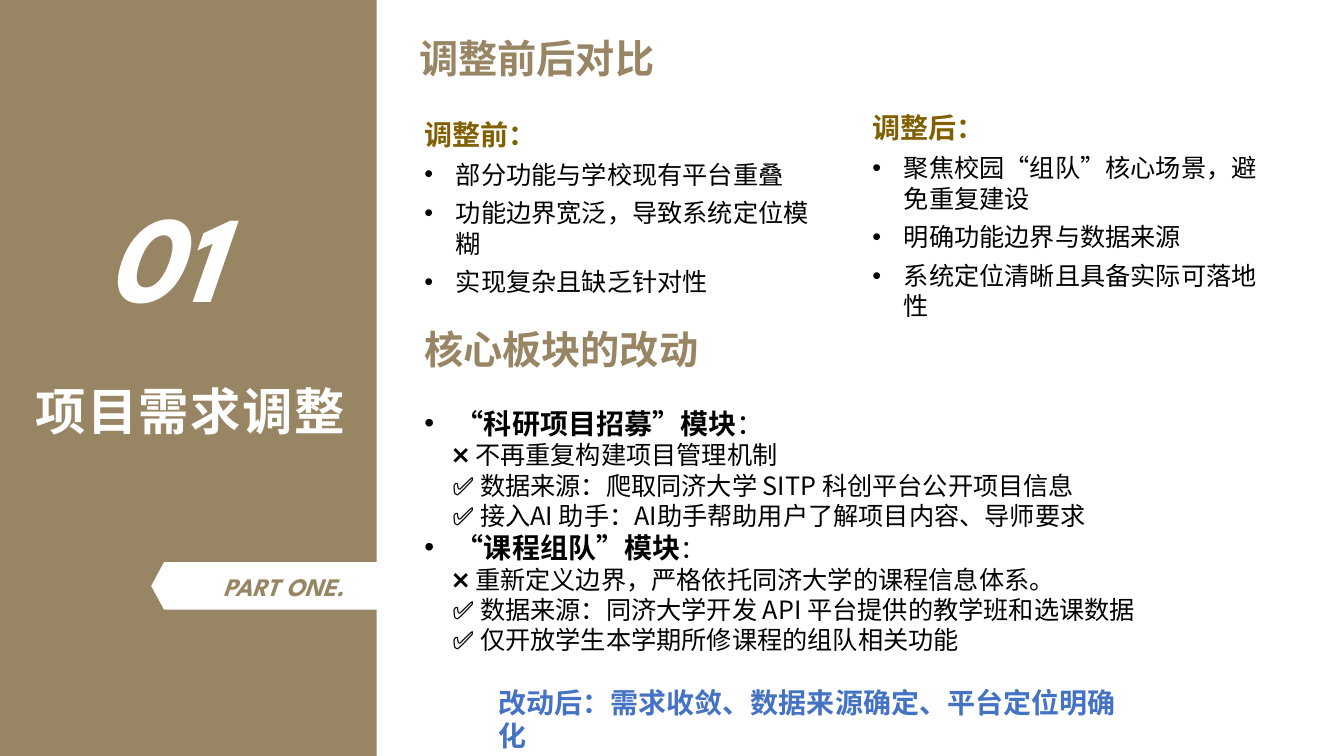
"""Build the project requirement adjustment slide."""
from dataclasses import dataclass
from typing import Optional

from lxml.etree import SubElement
from pptx import Presentation
from pptx.dml.color import RGBColor
from pptx.enum.shapes import MSO_SHAPE
from pptx.enum.text import MSO_ANCHOR, MSO_AUTO_SIZE, PP_ALIGN
from pptx.oxml.ns import qn
from pptx.util import Pt

COLOURS = {
    "sand": "988563",
    "white": "FFFFFF",
    "olive": "806000",
    "black": "000000",
    "blue": "4472C4",
}
HAN = "Noto Sans CJK SC"
DISPLAY = "League Spartan"
BULLET_INDENT = 22.5
DETAIL_INDENT = 20


@dataclass(frozen=True)
class Box:
    """Position and size in points."""
    left: float
    top: float
    width: float
    height: float


@dataclass(frozen=True)
class Line:
    """One paragraph with its formatting."""
    text: str
    size: float = 18
    colour: str = "black"
    bold: bool = False
    italic: bool = False
    font: str = HAN
    bullet: bool = False
    indent: float = 0
    before: float = 0
    spacing: float = 1
    tracking: float = 0
    align: PP_ALIGN = PP_ALIGN.LEFT
    colon_size: Optional[float] = None


@dataclass(frozen=True)
class Label:
    """A free-standing line of text."""
    box: Box
    line: Line


@dataclass(frozen=True)
class Listing:
    """A list held by one body placeholder."""
    placeholder: int
    box: Box
    lines: list[Line]


def comparison(heading: str, points: list[str]) -> list[Line]:
    """Return a heading followed by bulleted points."""
    return [Line(heading, 20, "olive", True)] + [
        Line(point, bullet=True, before=6) for point in points
    ]


def module(name: str, colon_size: float, details: list[str]) -> list[Line]:
    """Return a bulleted module name followed by its details."""
    return [Line(name, 20, bold=True, bullet=True, colon_size=colon_size)] + [
        Line(detail, indent=DETAIL_INDENT) for detail in details
    ]


def heading(top: float, left: float, text: str) -> Label:
    """Return a section heading."""
    return Label(Box(left, top, 299, 41), Line(text, 28, "sand", True))


TITLE = Label(
    Box(18, 259, 251, 59),
    Line("项目需求调整", 36, "white", True, spacing=1.2, tracking=1),
)
LISTINGS = [
    Listing(1, Box(296, 80, 302, 137), comparison("调整前：", [
        "部分功能与学校现有平台重叠",
        "功能边界宽泛，导致系统定位模糊",
        "实现复杂且缺乏针对性",
    ])),
    Listing(2, Box(616, 75.5, 299, 218), comparison("调整后：", [
        "聚焦校园“组队”核心场景，避免重复建设",
        "明确功能边界与数据来源",
        "系统定位清晰且具备实际可落地性",
    ])),
    Listing(3, Box(296, 286.5, 581, 185), module("“科研项目招募”模块", 20, [
        "❌ 不再重复构建项目管理机制",
        "✅ 数据来源：爬取同济大学 SITP 科创平台公开项目信息",
        "✅ 接入AI 助手：AI助手帮助用户了解项目内容、导师要求",
    ]) + module("“课程组队”模块", 18, [
        "❌ 重新定义边界，严格依托同济大学的课程信息体系。",
        "✅ 数据来源：同济大学开发 API 平台提供的教学班和选课数据",
        "✅ 仅开放学生本学期所修课程的组队相关功能",
    ])),
]
LABELS = [
    Label(Box(128, 404.5, 149, 29), Line(
        "PART ONE.", 18, "sand", True, True, DISPLAY, align=PP_ALIGN.CENTER)),
    Label(Box(68.5, 124.5, 149, 114),
          Line("01", 88, "white", True, True, DISPLAY)),
    heading(229, 296, "核心板块的改动"),
    heading(21, 292.5, "调整前后对比"),
    Label(Box(349, 486, 474, 31), Line(
        "改动后：需求收敛、数据来源确定、平台定位明确化", 20, "blue", True)),
]


def rgb(name: str) -> RGBColor:
    """Look up a named colour."""
    return RGBColor.from_string(COLOURS[name])


def format_run(run, line: Line, size: float, bold: bool) -> None:
    """Apply the character formatting of a line."""
    run.font.size = Pt(size)
    run.font.bold = bold
    run.font.italic = line.italic
    run.font.color.rgb = rgb(line.colour)
    run.font.name = line.font
    properties = run._r.get_or_add_rPr()
    SubElement(properties, qn("a:ea")).set("typeface", line.font)
    if line.tracking:
        properties.set("spc", str(round(line.tracking * 100)))


def write_line(paragraph, line: Line) -> None:
    """Write one paragraph."""
    properties = paragraph._p.get_or_add_pPr()
    hanging = BULLET_INDENT if line.bullet else 0
    properties.set("marL", str(Pt(hanging or line.indent)))
    properties.set("indent", str(-Pt(hanging)))
    if line.bullet:
        SubElement(properties, qn("a:buFont")).set("typeface", "Arial")
        SubElement(properties, qn("a:buChar")).set("char", "•")
    else:
        SubElement(properties, qn("a:buNone"))
    paragraph.alignment = line.align
    paragraph.space_before = Pt(line.before)
    paragraph.line_spacing = line.spacing
    paragraph.text = line.text
    format_run(paragraph.runs[0], line, line.size, line.bold)
    if line.colon_size:
        colon = paragraph.add_run()
        colon.text = "："
        format_run(colon, line, line.colon_size, False)


def write_lines(holder, box: Box, lines: list[Line]) -> None:
    """Place a text holder and fill it."""
    holder.left, holder.top = Pt(box.left), Pt(box.top)
    holder.width, holder.height = Pt(box.width), Pt(box.height)
    frame = holder.text_frame
    frame.word_wrap = True
    frame.auto_size = MSO_AUTO_SIZE.NONE
    frame.vertical_anchor = MSO_ANCHOR.TOP
    frame.text = "\n".join(line.text for line in lines)
    for paragraph, line in zip(frame.paragraphs, lines):
        write_line(paragraph, line)


def add_panel(slide, kind: MSO_SHAPE, box: Box, colour: str):
    """Add a plain filled shape."""
    panel = slide.shapes.add_shape(
        kind, Pt(box.left), Pt(box.top), Pt(box.width), Pt(box.height))
    panel.shadow.inherit = False
    panel.fill.solid()
    panel.fill.fore_color.rgb = rgb(colour)
    panel.line.fill.background()
    return panel


def main() -> None:
    """Build and save the slide."""
    deck = Presentation()
    deck.slide_width, deck.slide_height = Pt(960), Pt(540)
    slide = deck.slides.add_slide(deck.slide_layouts[4])
    bodies = {holder.placeholder_format.idx: holder for holder in slide.placeholders}
    unused = bodies[4].element
    unused.getparent().remove(unused)

    sidebar = add_panel(slide, MSO_SHAPE.RECTANGLE, Box(0, 0, 269, 540), "sand")
    slide.shapes.title.element.addprevious(sidebar.element)
    ribbon = add_panel(slide, MSO_SHAPE.PENTAGON, Box(108, 401.5, 169, 34), "white")
    ribbon.adjustments[0] = 0.27
    ribbon.rotation = 180

    write_lines(slide.shapes.title, TITLE.box, [TITLE.line])
    for listing in LISTINGS:
        write_lines(bodies[listing.placeholder], listing.box, listing.lines)
    for label in LABELS:
        write_lines(slide.shapes.add_textbox(0, 0, 0, 0), label.box, [label.line])
    deck.save("out.pptx")


if __name__ == "__main__":
    main()
